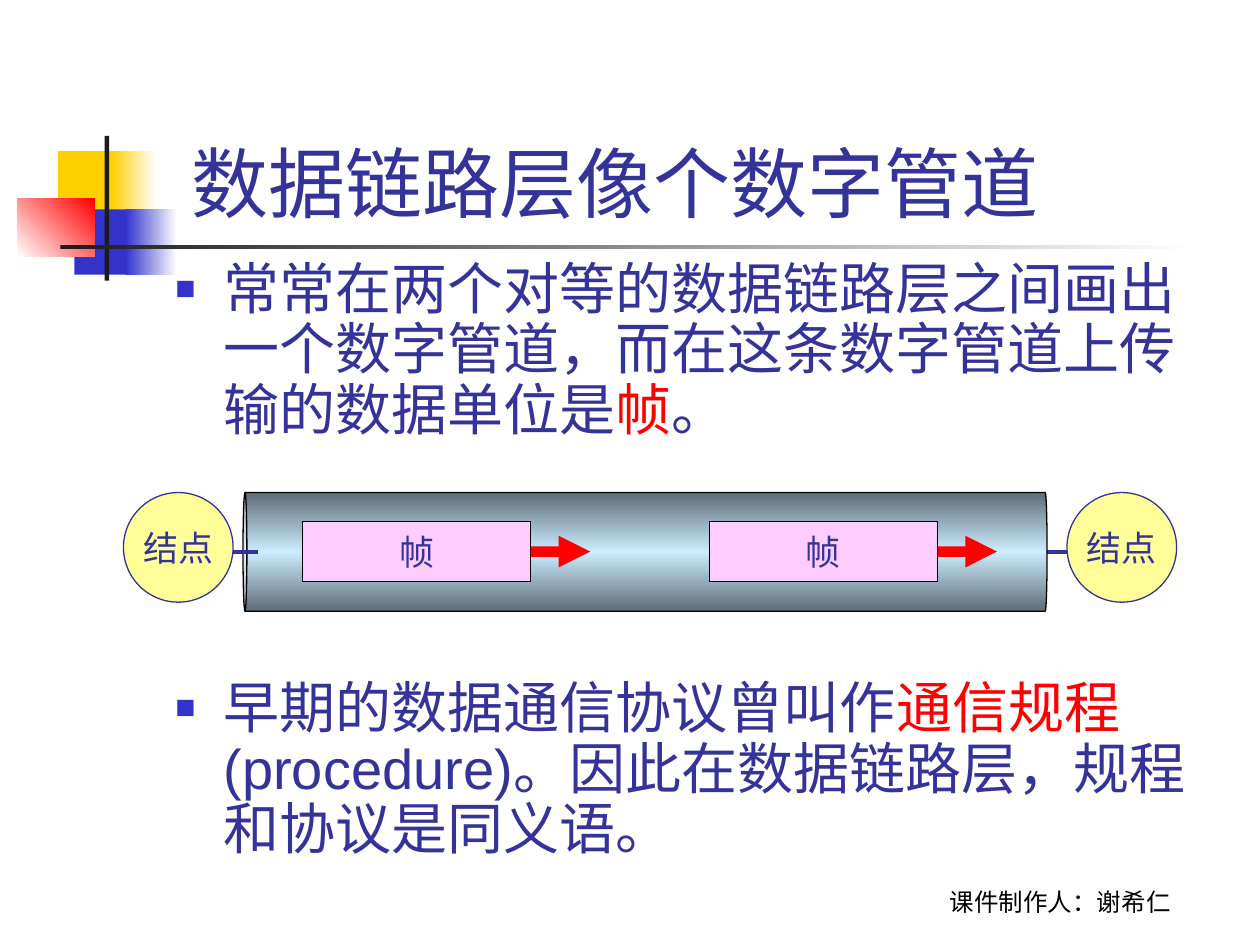
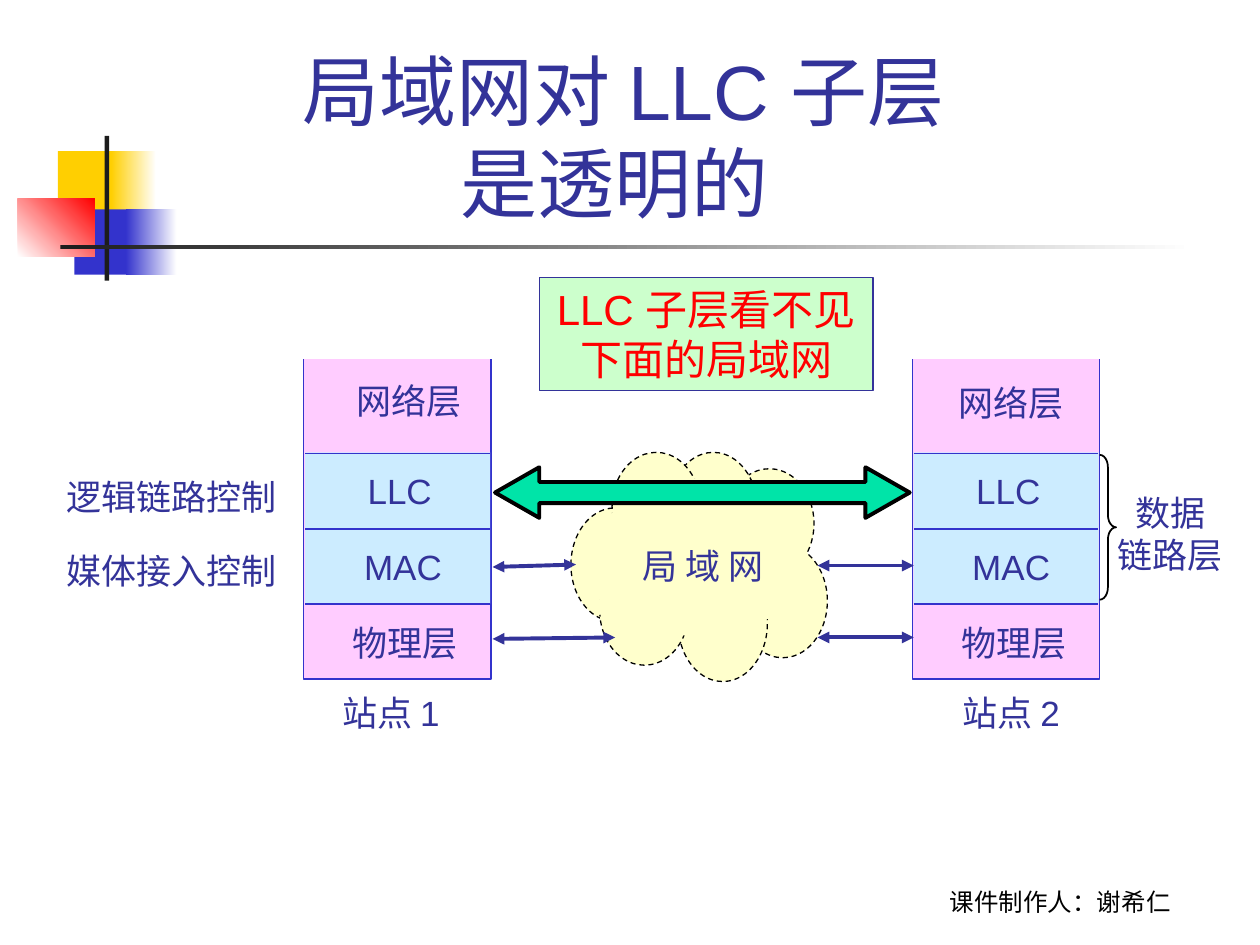
from copy import deepcopy
from dataclasses import dataclass
from typing import NamedTuple, Optional

from lxml.etree import SubElement
from pptx import Presentation
from pptx.dml.color import RGBColor
from pptx.enum.dml import MSO_LINE
from pptx.enum.lang import MSO_LANGUAGE_ID as LANG
from pptx.enum.shapes import MSO_CONNECTOR, MSO_SHAPE as SHAPE
from pptx.enum.text import MSO_ANCHOR as ANCHOR, MSO_AUTO_SIZE as AUTOSIZE, PP_ALIGN as ALIGN
from pptx.oxml.ns import qn
from pptx.util import Cm, Pt


@dataclass(frozen=True)
class Theme:
    ink: str = "333399"
    blue: str = "3333CC"
    gold: str = "FFCF01"
    red: str = "FF0000"
    dark: str = "1C1C1C"
    black: str = "000000"
    white: str = "FFFFFF"
    node: str = "FFFF99"
    pink: str = "FFCCFF"
    sky: str = "CCECFF"
    steel: str = "5E6D76"
    cloud: str = "FFFFCC"
    mint: str = "CCFFCC"
    green: str = "00E4A8"
    font: str = "Arial"
    alt_font: str = "Lato"
    title_size: int = 44
    body_size: int = 32
    callout_size: int = 24
    label_size: int = 20
    footer_size: int = 14


T = Theme()


class Box(NamedTuple):
    """Left, top, width and height in centimetres."""
    x: float
    y: float
    w: float
    h: float

    def lengths(self) -> list:
        return [Cm(v) for v in self]


class Line(NamedTuple):
    """Start and end of a straight line in centimetres."""
    x1: float
    y1: float
    x2: float
    y2: float


class Part(NamedTuple):
    """One piece of the slide decoration; several colours make a gradient."""
    box: Box
    colors: tuple
    angle: int = 0


@dataclass(frozen=True)
class Label:
    text: str
    x: float
    y: float
    w: float
    h: float = 1.09
    align: ALIGN = ALIGN.LEFT


@dataclass(frozen=True)
class Station:
    x: float
    labels: tuple


def rgb(color: str) -> RGBColor:
    return RGBColor.from_string(color)


# Formatting helpers
def style_run(r, size: int, color: str = T.ink, font: str = T.font) -> None:
    r.font.name, r.font.size = font, Pt(size)
    r.font.color.rgb = rgb(color)
    r.font.language_id = LANG.SIMPLIFIED_CHINESE


def put_text(sp, text: str, size: int, color: str = T.ink, font: str = T.font,
             align: ALIGN = ALIGN.CENTER, anchor: ANCHOR = ANCHOR.MIDDLE,
             wrap: bool = False, auto_size: AUTOSIZE = AUTOSIZE.NONE) -> None:
    tf = sp.text_frame
    tf.text = text
    tf.word_wrap, tf.auto_size, tf.vertical_anchor = wrap, auto_size, anchor
    for p in tf.paragraphs:
        p.alignment = align
        for r in p.runs:
            style_run(r, size, color, font)


def paint(sp, colors: tuple, line: Optional[str] = None, width: float = 0.75,
          angle: int = 0) -> None:
    sp.shadow.inherit = False
    if not colors:
        sp.fill.background()
    elif len(colors) == 1:
        sp.fill.solid()
        sp.fill.fore_color.rgb = rgb(colors[0])
    else:
        sp.fill.gradient()
        sp.fill.gradient_angle = angle
        grad = sp.element.spPr.find(qn("a:gradFill"))
        grad.set("rotWithShape", "0")
        stops = grad.find(qn("a:gsLst"))
        while len(stops) < len(colors):
            stops.append(deepcopy(stops[0]))
        for i, stop in enumerate(sp.fill.gradient_stops):
            stop.color.rgb = rgb(colors[i])
            stop.position = i / (len(colors) - 1)
    if line:
        sp.line.color.rgb, sp.line.width = rgb(line), Pt(width)
    else:
        sp.line.fill.background()


# Drawing helpers
def add_box(slide, kind: SHAPE, box: Box, *colors: str, line: Optional[str] = None,
            width: float = 0.75, angle: int = 0, adj: tuple = ()):
    sp = slide.shapes.add_shape(kind, *box.lengths())
    paint(sp, colors, line, width, angle)
    for i, value in enumerate(adj):
        sp.adjustments[i] = value
    return sp


def add_outline(slide, points: list, color: str, line: Optional[str] = None,
                close: bool = True) -> None:
    pts = [(Cm(x), Cm(y)) for x, y in points]
    fb = slide.shapes.build_freeform(*pts[0])
    fb.add_line_segments(pts[1:], close=close)
    paint(fb.convert_to_shape(), (color,), line)


def add_line(slide, ends: Line, color: str, width: float, arrows: tuple = ()):
    cx = slide.shapes.add_connector(MSO_CONNECTOR.STRAIGHT, *[Cm(v) for v in ends])
    cx.line.color.rgb, cx.line.width = rgb(color), Pt(width)
    sp_pr = cx.element.spPr
    for end in arrows:
        SubElement(sp_pr.find(qn("a:ln")), qn(f"a:{end}"), type="triangle")
    SubElement(sp_pr, qn("a:effectLst"))
    return cx


def add_label(slide, label: Label) -> None:
    box = Box(label.x, label.y, label.w, label.h)
    put_text(slide.shapes.add_textbox(*box.lengths()), label.text, T.label_size,
             align=label.align, anchor=ANCHOR.TOP, auto_size=AUTOSIZE.SHAPE_TO_FIT_TEXT)


def place(sp, box: Box) -> None:
    sp.left, sp.top, sp.width, sp.height = box.lengths()


def set_title(slide, text: str) -> None:
    place(slide.shapes.title, Box(3.05, 2.59, 19.05, 2.13))
    put_text(slide.shapes.title, text, T.title_size, anchor=ANCHOR.BOTTOM, wrap=True)


# Shared decoration and footer
DECORATION = (
    Part(Box(1.17, 3.05, 1.22, 1.32), (T.gold,)),
    Part(Box(2.24, 3.05, 0.91, 1.32), (T.gold, T.white)),
    Part(Box(1.5, 4.22, 1.17, 1.32), (T.blue,)),
    Part(Box(2.54, 4.22, 1.02, 1.32), (T.blue, T.white)),
    Part(Box(0.36, 4.01, 1.55, 1.17), (T.white, T.red), 45),
    Part(Box(2.11, 2.74, 0.09, 2.92), (T.dark,)),
    Part(Box(1.22, 4.94, 22.86, 0.09), (T.dark, T.white)),
)


def decorate_master(prs, slide) -> None:
    """Draw the shared parts on a slide, then move them to its master."""
    parts = [add_box(slide, SHAPE.RECTANGLE, part.box, *part.colors, angle=part.angle)
             for part in DECORATION]
    footer = slide.shapes.add_textbox(*Box(17.35, 17.32, 8.05, 1.27).lengths())
    put_text(footer, "课件制作人：谢希仁", T.footer_size, T.black, T.alt_font,
             anchor=ANCHOR.BOTTOM, wrap=True)
    for number, sp in enumerate(parts + [footer], start=100):
        sp.element.nvSpPr.cNvPr.set("id", str(number))
        prs.slide_master.shapes.element.append(sp.element)


# Slide 1: digital pipe
def add_bullet(p, pieces: tuple, space_before: float) -> None:
    for text, color in pieces:
        r = p.add_run()
        r.text = text
        style_run(r, T.body_size, color)
    p.line_spacing, p.space_before = 0.9, Pt(space_before)
    p_pr = p._p.get_or_add_pPr()
    p_pr.set("marL", str(Cm(0.97)))
    p_pr.set("indent", str(-Cm(0.97)))
    SubElement(SubElement(p_pr, qn("a:buClr")), qn("a:srgbClr"), val=T.blue)
    SubElement(p_pr, qn("a:buSzPct"), val="60000")
    SubElement(p_pr, qn("a:buChar"), char="■")


def build_pipe_slide(slide) -> None:
    set_title(slide, "数据链路层像个数字管道 ")
    body = slide.placeholders[1]
    place(body, Box(3.28, 5.13, 21.59, 13.44))
    tf = body.text_frame
    tf.auto_size = AUTOSIZE.NONE
    add_bullet(tf.paragraphs[0], (
        ("常常在两个对等的数据链路层之间画出一个数字管道，而在这条数字管道上传输的数据单位是", T.ink),
        ("帧", T.red), ("。", T.ink)), 8)
    # The wide gap leaves room for the pipe
    add_bullet(tf.add_paragraph(), (
        ("早期的数据通信协议曾叫作", T.ink), ("通信规程", T.red),
        ("(procedure)。因此在数据链路层，规程和协议是同义语。", T.ink)), 136)

    # Nodes, link and pipe
    for x in (2.49, 21.51):
        node = add_box(slide, SHAPE.OVAL, Box(x, 9.93, 2.21, 2.21), T.node, line=T.ink)
        put_text(node, "结点", T.label_size, font=T.alt_font)
    axis = 11.12
    add_line(slide, Line(4.7, axis, 21.51, axis), T.ink, 2.25)
    pipe = add_box(slide, SHAPE.CAN, Box(11.81, 3.02, 2.39, 16.21), T.steel, T.sky, T.steel,
                   line=T.black, angle=270, adj=(0.033,))
    pipe.rotation = 270
    add_line(slide, Line(4.7, axis, 5.21, axis), T.ink, 2.25)

    # Frames moving to the right
    for x in (6.1, 14.3):
        box = Box(x, 10.52, 4.6, 1.2)
        frame = add_box(slide, SHAPE.RECTANGLE, box, T.pink, line=T.black)
        put_text(frame, "帧", T.label_size, font=T.alt_font)
        right = x + box.w
        arrow = add_line(slide, Line(right, axis, right + 1.2, axis), T.red, 6, ("tailEnd",))
        arrow.begin_connect(frame, 3)


# Slide 2: two stations joined by a LAN
STATIONS = (
    Station(6.12, (Label("网络层", 6.93, 7.52, 2.62), Label("LLC", 7.16, 9.35, 1.8),
                   Label("MAC", 7.09, 10.87, 2.08), Label("物理层", 6.86, 12.4, 2.62),
                   Label("站点 1", 6.65, 13.82, 2.84))),
    Station(18.39, (Label("网络层", 19.08, 7.57, 2.62), Label("LLC", 19.43, 9.35, 1.8),
                    Label("MAC", 19.35, 10.87, 2.08), Label("物理层", 19.13, 12.4, 2.62),
                    Label("站点 2", 19.15, 13.82, 2.84))),
)
SIDE_LABELS = (
    Label("逻辑链路控制", 1.09, 9.47, 4.75),
    Label("媒体接入控制", 1.09, 10.95, 4.75),
    Label("局 域 网", 12.7, 10.85, 3.33),
    Label("数据\n链路层", 22.28, 9.78, 2.62, 1.93, ALIGN.CENTER),
)
PUFFS = (
    Box(14.88, 10.97, 1.8, 2.29), Box(11.51, 10.24, 1.78, 2.29),
    Box(14.61, 9.45, 1.8, 2.21), Box(13.67, 11.4, 1.8, 2.34),
    Box(12.09, 11.2, 1.8, 2.21), Box(13.49, 9.12, 1.78, 2.29),
    Box(12.34, 9.12, 1.78, 2.18),
)
LAN_LINKS = (
    Line(9.93, 12.88, 12.4, 12.85), Line(18.42, 12.85, 16.48, 12.85),
    Line(9.93, 11.43, 11.61, 11.38), Line(18.42, 11.4, 16.48, 11.4),
)


def add_cloud(slide) -> None:
    for box in PUFFS:
        puff = add_box(slide, SHAPE.OVAL, box, T.cloud, line=T.black)
        puff.line.dash_style = MSO_LINE.DASH
    add_box(slide, SHAPE.OVAL, Box(11.96, 9.65, 4.32, 3.18), T.cloud)
    add_outline(slide, [(12.14, 11.79), (12.24, 11.89), (12.14, 12.37),
                        (12.09, 12.4), (12.01, 12.32), (12.07, 12.14)], T.cloud)


def add_station(slide, station: Station) -> None:
    left, right, top, bottom = station.x, station.x + 3.78, 7.24, 13.69
    add_outline(slide, [(left, top), (left, bottom), (right, bottom), (right, top)],
                T.pink, T.blue, close=False)
    add_box(slide, SHAPE.RECTANGLE, Box(left + 0.03, 9.12, 3.73, 3.05), T.sky)
    for i in range(3):
        y = 9.14 + 1.52 * i
        add_line(slide, Line(left + 0.03, y, right - 0.03, y), T.blue, 1)
    for label in station.labels:
        add_label(slide, label)


def build_lan_slide(slide) -> None:
    set_title(slide, "局域网对 LLC 子层\v是透明的 ")
    add_cloud(slide)
    for station in STATIONS:
        add_station(slide, station)
    for link in LAN_LINKS:
        add_line(slide, link, T.ink, 2.25, ("headEnd", "tailEnd"))
    for label in SIDE_LABELS:
        add_label(slide, label)
    add_box(slide, SHAPE.LEFT_RIGHT_ARROW, Box(9.98, 9.42, 8.36, 1.02), T.green,
            line=T.black, width=2.25, adj=(0.417, 0.875))
    add_box(slide, SHAPE.RIGHT_BRACE, Box(22.17, 9.17, 0.33, 2.92), line=T.black,
            width=1, adj=(0.75, 0.5))
    callout = add_box(slide, SHAPE.RECTANGLE, Box(10.87, 5.59, 6.73, 2.29), T.mint, line=T.ink)
    put_text(callout, "LLC 子层看不见\n下面的局域网", T.callout_size, T.red, anchor=ANCHOR.TOP)


def main() -> None:
    prs = Presentation()
    prs.slide_width, prs.slide_height = Cm(25.4), Cm(19.05)
    pipe_slide = prs.slides.add_slide(prs.slide_layouts[1])
    decorate_master(prs, pipe_slide)
    build_pipe_slide(pipe_slide)
    build_lan_slide(prs.slides.add_slide(prs.slide_layouts[5]))
    prs.save("out.pptx")


if __name__ == "__main__":
    main()
